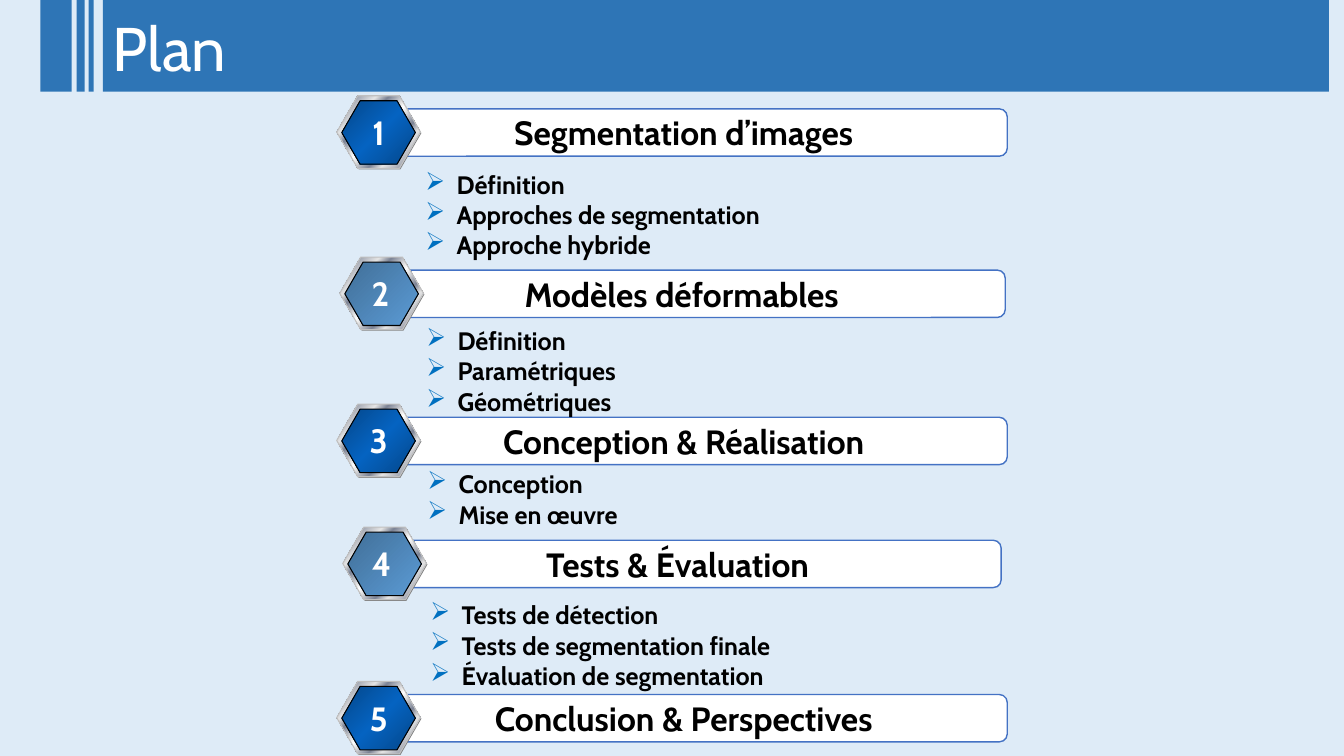
import dataclasses
import lxml.etree
import pptx
import pptx.dml.color
import pptx.enum.shapes
import pptx.enum.text
import pptx.oxml.ns
import pptx.util

SHAPE = pptx.enum.shapes.MSO_SHAPE
ALIGN = pptx.enum.text.PP_ALIGN
ANCHOR = pptx.enum.text.MSO_ANCHOR
CELL = 0.1  # grid cell in inches


@dataclasses.dataclass(frozen=True)
class Theme:
    font: str = "Cabin"
    title_size: int = 44
    heading_size: int = 24
    item_size: int = 18
    page: str = "DEEBF7"
    band: str = "2E75B6"
    white: str = "FFFFFF"
    black: str = "000000"
    outline: str = "4472C4"
    bullet: str = "0070C0"
    badge_shade: str = "808080"
    ring_line: str = "C0C0C0"
    ring: tuple = ((0, "E6E6E6"), (7, "7D8496"), (26, "E6E6E6"), (34, "7D8496"),
                   (46, "E6E6E6"), (50, "FFFFFF"), (54, "E6E6E6"), (66, "7D8496"),
                   (74, "E6E6E6"), (93, "7D8496"), (100, "E6E6E6"))
    odd_core: tuple = ((0, "04478A"), (50, "0563C1"), (100, "04478A"))
    even_core: tuple = ((0, "416F98"), (100, "5B9BD5"))


@dataclasses.dataclass(frozen=True)
class Section:
    heading: str
    row: float          # top of the badge
    badge_col: float
    number_col: float
    bar_col: float
    items: tuple = ()
    items_col: float = 0
    items_row: float = 0


THEME = Theme()
BAND_COLUMNS = ((4, 3.1), (7.6, 0.8), (8.8, 0.5), (10.2, 121.6))
SECTIONS = (
    Section("Segmentation d’images", 9.5, 33.4, 35.6, 35.7,
            ("Définition", "Approches de segmentation", "Approche hybride"), 41.2, 16.3),
    Section("Modèles déformables", 25.5, 33.7, 35.8, 35.5,
            ("Définition", "Paramétriques", "Géométriques"), 41.3, 31.8),
    Section("Conception & Réalisation", 40.1, 33.4, 35.6, 35.7,
            ("Conception", "Mise en œuvre"), 41.4, 46),
    Section("Tests & Évaluation", 52.3, 34, 35.9, 35.1,
            ("Tests de détection", "Tests de segmentation finale",
             "Évaluation de segmentation"), 41.7, 59),
    Section("Conclusion & Perspectives", 67.6, 33.4, 35.6, 35.7),
)


def cells(*lengths):
    return [pptx.util.Inches(length * CELL) for length in lengths]


def rgb(color):
    return pptx.dml.color.RGBColor.from_string(color)


def add_child(parent, tag, **attributes):
    return lxml.etree.SubElement(parent, pptx.oxml.ns.qn(tag), attributes)


def write(frame, *lines, size, color=THEME.black, bold=True, align=ALIGN.LEFT,
          anchor=ANCHOR.TOP, wrap=True, bullet=None):
    frame.word_wrap = wrap
    frame.auto_size = pptx.enum.text.MSO_AUTO_SIZE.NONE
    frame.vertical_anchor = anchor
    for index, line in enumerate(lines):
        paragraph = frame.add_paragraph() if index else frame.paragraphs[0]
        paragraph.alignment = align
        run = paragraph.add_run()
        run.text = line
        run.font.name = THEME.font
        run.font.size = pptx.util.Pt(size)
        run.font.bold = bold
        run.font.color.rgb = rgb(color)
        if bullet:
            add_bullet(paragraph, bullet)


def add_bullet(paragraph, character):
    properties = paragraph._p.get_or_add_pPr()
    indent = pptx.util.Inches(0.31)
    properties.set("marL", str(indent))
    properties.set("indent", str(-indent))
    add_child(add_child(properties, "a:buClr"), "a:srgbClr", val=THEME.bullet)
    add_child(properties, "a:buChar", char=character)


def fill_gradient(shape, stops):
    shape.fill.gradient()
    shape.fill.gradient_angle = 315
    stop_list = shape._element.spPr.find(".//" + pptx.oxml.ns.qn("a:gsLst"))
    for old_stop in list(stop_list):
        stop_list.remove(old_stop)
    for percent, color in stops:
        stop = add_child(stop_list, "a:gs", pos=str(percent * 1000))
        add_child(stop, "a:srgbClr", val=color)


def add_panel(slide, kind, box, fill, line=None, line_width=0.75, adjust=None):
    panel = slide.shapes.add_shape(kind, *cells(*box))
    panel.shadow.inherit = False
    if adjust is not None:
        panel.adjustments[0] = adjust
    if isinstance(fill, tuple):
        fill_gradient(panel, fill)
    else:
        panel.fill.solid()
        panel.fill.fore_color.rgb = rgb(fill)
    if line:
        panel.line.color.rgb = rgb(line)
        panel.line.width = pptx.util.Pt(line_width)
    else:
        panel.line.fill.background()
    return panel


def add_text(slide, box, *lines, **style):
    write(slide.shapes.add_textbox(*cells(*box)).text_frame, *lines, **style)


def add_title_band(slide, title_text):
    for col, width in BAND_COLUMNS:
        add_panel(slide, SHAPE.RECTANGLE, (col, -0.6, width, 9.7), THEME.band)
    title = slide.shapes.title
    title.left, title.top, title.width, title.height = cells(10.2, 0.5, 112.2, 7.9)
    write(title.text_frame, title_text, size=THEME.title_size, color=THEME.white, bold=False)
    slide.shapes._spTree.append(title._element)  # bring in front of the band


def add_badge(slide, number, section):
    col, row = section.badge_col, section.row
    core = THEME.odd_core if number % 2 else THEME.even_core
    layers = ((0.1, 0.1, 8.3, 7.2, THEME.badge_shade, None),
              (0, 0, 8.3, 7.2, THEME.ring, THEME.ring_line),
              (0.5, 0.5, 7.3, 6.3, core, THEME.black))
    for dx, dy, width, height, fill, line in layers:
        add_panel(slide, SHAPE.HEXAGON, (col + dx, row + dy, width, height),
                  fill, line, adjust=0.289)
    add_text(slide, (section.number_col, row + 1.1, 3.9, 5), str(number),
             size=THEME.heading_size, color=THEME.white, align=ALIGN.CENTER, wrap=False)


def add_section(slide, number, section):
    bar = add_panel(slide, SHAPE.ROUNDED_RECTANGLE,
                    (section.bar_col, section.row + 1.3, 64.2, 4.7),
                    THEME.white, THEME.outline, 1, adjust=0.167)
    write(bar.text_frame, section.heading, size=THEME.heading_size,
          align=ALIGN.CENTER, anchor=ANCHOR.MIDDLE, wrap=False)
    add_badge(slide, number, section)


def add_items(slide, section):
    height = 1.1 + 3 * len(section.items)
    add_text(slide, (section.items_col, section.items_row, 62.7, height),
             *section.items, size=THEME.item_size, bullet="➢")


def main():
    deck = pptx.Presentation()
    deck.slide_width, deck.slide_height = cells(133.3, 75)
    slide = deck.slides.add_slide(deck.slide_layouts.get_by_name("Title Only"))
    slide.background.fill.solid()
    slide.background.fill.fore_color.rgb = rgb(THEME.page)

    # Title band
    add_title_band(slide, "Plan")

    # Numbered sections
    for number, section in enumerate(SECTIONS, start=1):
        add_section(slide, number, section)

    # Bulleted topics, in front of the bars
    for section in SECTIONS:
        if section.items:
            add_items(slide, section)

    deck.save("out.pptx")


main()
